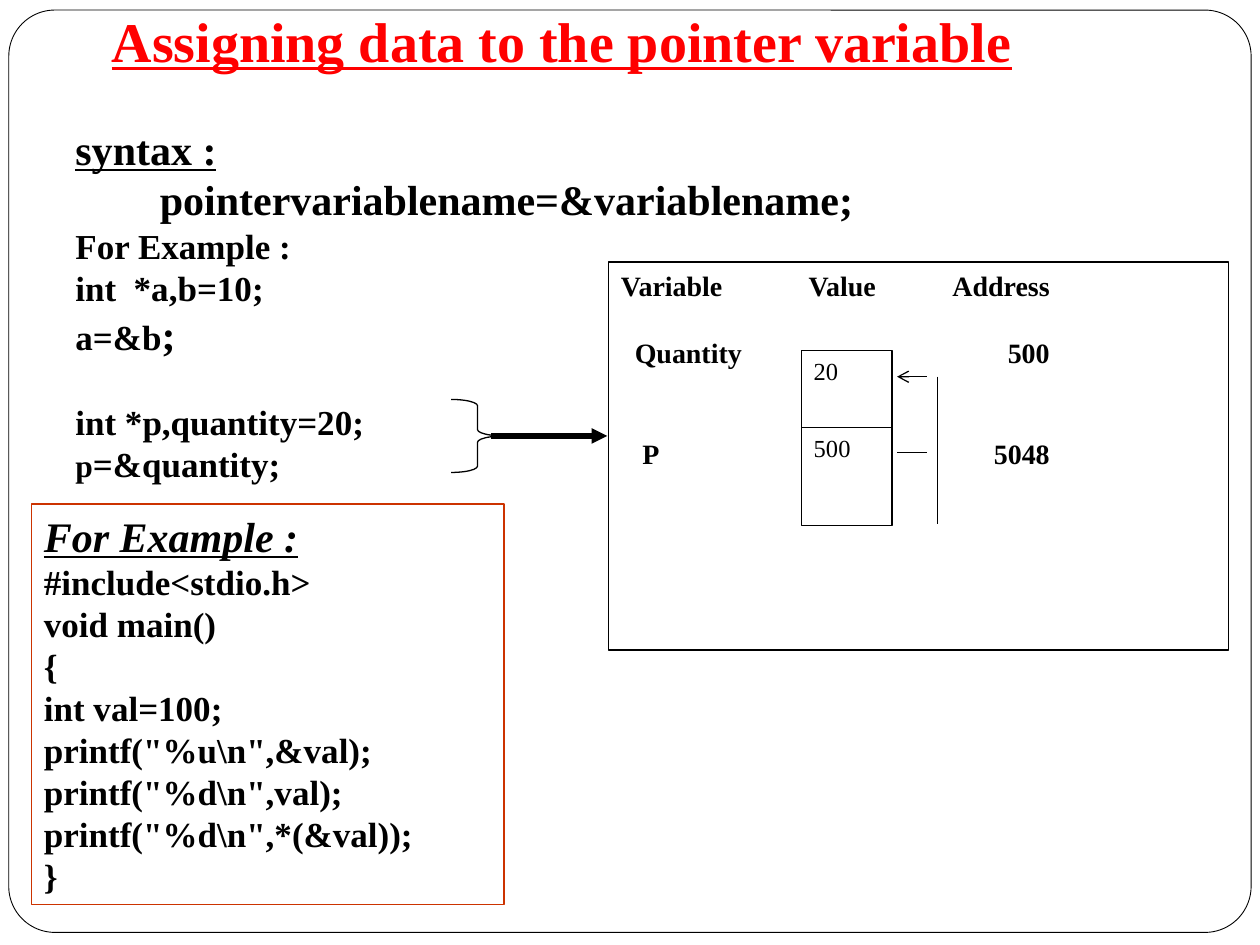
import dataclasses

import pptx
import pptx.dml.color
import pptx.enum.shapes
import pptx.enum.text
import pptx.oxml
import pptx.oxml.ns
import pptx.util
from pptx.util import Inches

SHAPE = pptx.enum.shapes.MSO_SHAPE
ANCHOR = pptx.enum.text.MSO_ANCHOR
ALIGN = pptx.enum.text.PP_ALIGN


@dataclasses.dataclass(frozen=True)
class Theme:
    font: str = "Times New Roman"
    ink: str = "000000"
    paper: str = "FFFFFF"
    title_ink: str = "FF0000"
    code_border: str = "CC3300"
    title: float = 32
    heading: float = 24
    body: float = 20
    small_body: float = 18
    label: float = 16
    cell: float = 14
    hairline: float = 0.5
    thin: float = 0.75
    thick: float = 3
    line_pitch: float = 1.2


THEME = Theme()


def rgb(value):
    return pptx.dml.color.RGBColor.from_string(value)


def add_run(paragraph, text, size, color=THEME.ink, bold=True, italic=False, underline=False):
    run = paragraph.add_run()
    run.text = text
    font = run.font
    font.name, font.size = THEME.font, pptx.util.Pt(size)
    font.bold, font.italic, font.underline = bold, italic, underline
    font.color.rgb = rgb(color)


def next_paragraph(frame, first, blank_lines=0, size=THEME.body, indent=0, align=ALIGN.LEFT):
    """Start a paragraph, with a gap above it as tall as the given lines."""
    paragraph = frame.paragraphs[0] if first else frame.add_paragraph()
    paragraph.alignment = align
    if blank_lines:
        paragraph.space_before = pptx.util.Pt(blank_lines * size * THEME.line_pitch)
    if indent:
        properties = paragraph._p.get_or_add_pPr()
        properties.set("marL", str(Inches(indent)))
        properties.set("indent", "0")
    return paragraph


def prepare_frame(shape):
    frame = shape.text_frame
    frame.word_wrap = True
    frame.auto_size = pptx.enum.text.MSO_AUTO_SIZE.NONE
    frame.vertical_anchor = ANCHOR.TOP
    return frame


def add_outlined(shapes, kind, box, border=THEME.ink, width=THEME.thin, fill=THEME.paper):
    shape = shapes.add_shape(kind, *map(Inches, box))
    shape.shadow.inherit = False
    if fill:
        shape.fill.solid()
        shape.fill.fore_color.rgb = rgb(fill)
    else:
        shape.fill.background()
    shape.line.color.rgb = rgb(border)
    shape.line.width = pptx.util.Pt(width)
    return shape


def add_line(shapes, start, end, width=THEME.thin, head=None, tail=None):
    line = shapes.add_connector(pptx.enum.shapes.MSO_CONNECTOR.STRAIGHT,
                                *map(Inches, (*start, *end)))
    line.line.color.rgb = rgb(THEME.ink)
    line.line.width = pptx.util.Pt(width)
    ns = pptx.oxml.ns.nsdecls("a")
    for tag, arrow in (("headEnd", head), ("tailEnd", tail)):
        if arrow:
            line.line._get_or_add_ln().append(
                pptx.oxml.parse_xml(f'<a:{tag} {ns} type="{arrow}"/>'))
    line.element.spPr.append(pptx.oxml.parse_xml(f"<a:effectLst {ns}/>"))


def add_title(slide, box):
    title = slide.shapes.title
    title.left, title.top, title.width, title.height = map(Inches, box)
    paragraph = prepare_frame(title).paragraphs[0]
    paragraph.alignment = ALIGN.CENTER
    add_run(paragraph, "Assigning data to the pointer variable", THEME.title,
            THEME.title_ink, underline=True)


def add_page_frame(slide, box):
    """Draw the rounded page border behind the title."""
    border = add_outlined(slide.shapes, SHAPE.ROUNDED_RECTANGLE, box, width=THEME.hairline)
    border.adjustments[0] = 0.05
    slide.shapes.title.element.addprevious(border.element)


def add_syntax(slide, box):
    frame = prepare_frame(slide.shapes.add_textbox(*map(Inches, box)))
    add_run(next_paragraph(frame, True), "syntax :", THEME.heading, underline=True)
    add_run(next_paragraph(frame, False, indent=0.67),
            "pointervariablename=&variablename;", THEME.heading)
    examples = [
        (0, [("For Example :", THEME.body)]),
        (0, [("int  *a,b=10;", THEME.body)]),
        (0, [("a=&b", THEME.body), (";", THEME.heading)]),
        (1, [("int *p,quantity=20;", THEME.body)]),
        (0, [("p", THEME.small_body), ("=&quantity;", THEME.body)]),
    ]
    for blank_lines, runs in examples:
        paragraph = next_paragraph(frame, False, blank_lines)
        for text, size in runs:
            add_run(paragraph, text, size)


def add_program(slide, box):
    frame = prepare_frame(add_outlined(slide.shapes, SHAPE.RECTANGLE, box,
                                       THEME.code_border, fill=None))
    add_run(next_paragraph(frame, True), "For Example :", THEME.heading,
            italic=True, underline=True)
    program = ["#include<stdio.h>", "void main()", "{", "int val=100;",
               r'printf("%u\n",&val);', r'printf("%d\n",val);',
               r'printf("%d\n",*(&val));', "}"]
    for code in program:
        add_run(next_paragraph(frame, False), code, THEME.body)


def fill_column(holder, entries, indents=(0, 0, 0), align=ALIGN.LEFT):
    """Write a heading and its entries, each one blank line further down than the last."""
    frame = prepare_frame(holder)
    for row, (entry, indent) in enumerate(zip(entries, indents)):
        paragraph = next_paragraph(frame, row == 0, row, THEME.label, indent, align)
        add_run(paragraph, entry, THEME.label)


def add_memory(slide, box):
    """Draw the variable, value and address panel with its two memory cells."""
    left, top = box[:2]
    shapes = slide.shapes.add_group_shape().shapes
    panel = add_outlined(shapes, SHAPE.RECTANGLE, box)
    values = shapes.add_textbox(*map(Inches, (left + 1.49, top, 0.9, 0.4)))
    addresses = shapes.add_textbox(*map(Inches, (left + 2.4, top, 1.2, 1.75)))
    fill_column(panel, ("Variable", "Quantity", "P"), (0, 0.11, 0.17))
    fill_column(values, ("Value",))
    fill_column(addresses, ("Address", "500", "5048"), align=ALIGN.RIGHT)

    cell_left, cell_top, cell_width, cell_height, pitch = left + 1.53, top + 0.7, 0.72, 0.78, 0.61
    for index, value in enumerate(("20", "500")):
        cell = add_outlined(shapes, SHAPE.RECTANGLE,
                            (cell_left, cell_top + index * pitch, cell_width, cell_height))
        add_run(next_paragraph(prepare_frame(cell), True), value, THEME.cell, bold=False)

    near, far, bar = left + 2.29, left + 2.53, left + 2.61
    target, source = top + 0.91, top + 1.51
    add_line(shapes, (near, source), (far, source))
    add_line(shapes, (near, target), (far, target), head="arrow")
    add_line(shapes, (bar, target), (bar, top + 2.08))


def add_brace_arrow(slide, box, arrow_end):
    left, top, width, height = box
    shapes = slide.shapes.add_group_shape().shapes
    brace = add_outlined(shapes, SHAPE.RIGHT_BRACE, box, fill=None)
    brace.adjustments[0], brace.adjustments[1] = 0.12, 0.5
    middle = top + height / 2
    add_line(shapes, (left + width - 0.1, middle), (arrow_end, middle),
             THEME.thick, tail="triangle")


def main():
    deck = pptx.Presentation()
    deck.slide_width, deck.slide_height = Inches(10), Inches(7.5)
    slide = deck.slides.add_slide(deck.slide_layouts[5])
    add_title(slide, (0.5, 0, 7.92, 0.63))
    add_page_frame(slide, (0.07, 0.08, 9.86, 7.32))
    add_syntax(slide, (0.5, 0.93, 7.92, 3.01))
    add_program(slide, (0.25, 4, 3.75, 3.18))
    add_memory(slide, (4.83, 2.08, 4.92, 3.08))
    add_brace_arrow(slide, (3.58, 3.17, 0.42, 0.58), arrow_end=4.82)
    deck.save("out.pptx")


if __name__ == "__main__":
    main()
